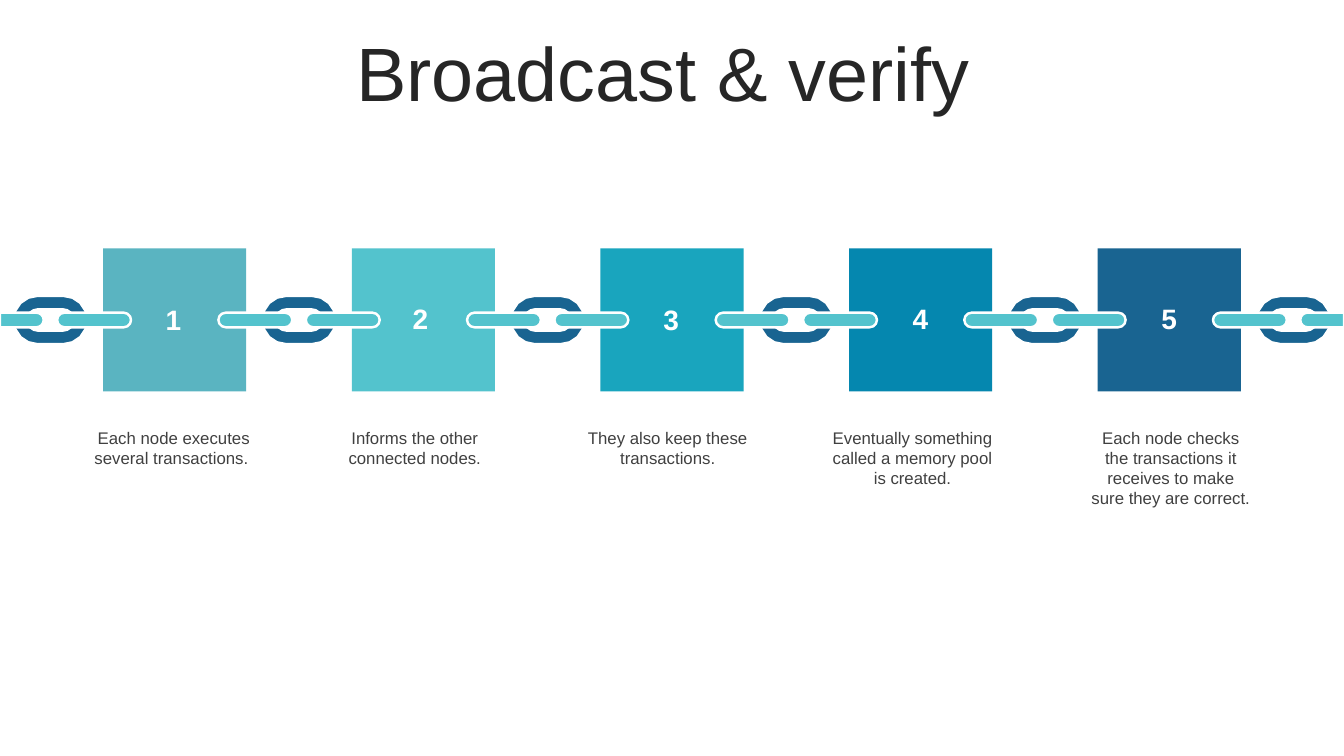
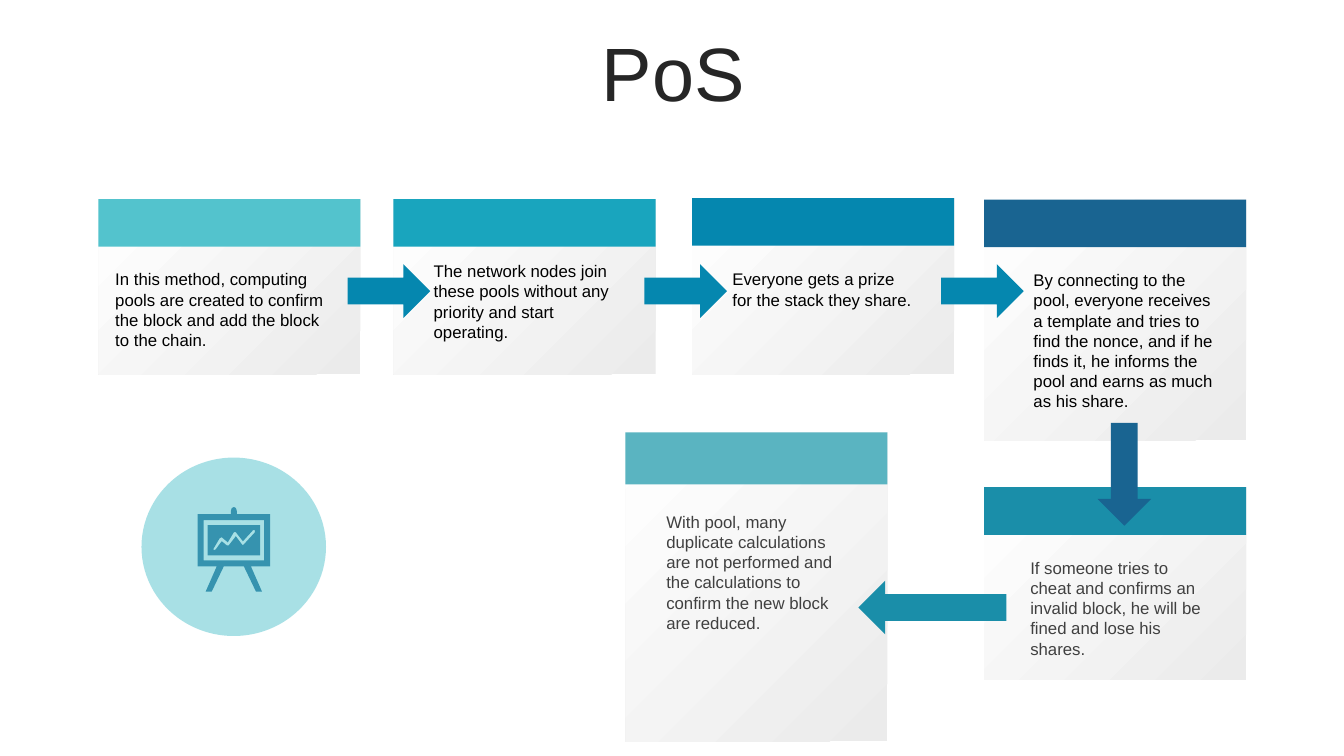
from dataclasses import dataclass
from math import cos, radians, sin

from lxml import etree
from pptx import Presentation
from pptx.dml.color import RGBColor
from pptx.enum.shapes import MSO_SHAPE
from pptx.enum.text import MSO_ANCHOR, MSO_AUTO_SIZE, PP_ALIGN
from pptx.oxml.ns import qn
from pptx.util import Inches, Pt

RECTANGLE = MSO_SHAPE.RECTANGLE
CAPSULE = MSO_SHAPE.ROUNDED_RECTANGLE
OVAL = MSO_SHAPE.OVAL
RIGHT_ARROW = MSO_SHAPE.RIGHT_ARROW
DOWN_ARROW = MSO_SHAPE.DOWN_ARROW
LEFT_ARROW = MSO_SHAPE.LEFT_ARROW
TOP, MIDDLE = MSO_ANCHOR.TOP, MSO_ANCHOR.MIDDLE
LEFT, CENTER = PP_ALIGN.LEFT, PP_ALIGN.CENTER
TITLE_ONLY = 5


@dataclass(frozen=True)
class Theme:
    font: str = "Arial"
    title_size: int = 54
    number_size: int = 20
    body_size: int = 12
    title: str = "262626"
    body: str = "404040"
    black: str = "000000"
    white: str = "FFFFFF"
    card_shade: str = "EBEBEB"
    navy: str = "196491"
    blue: str = "0587AF"
    ocean: str = "1A8EA9"
    cyan: str = "19A5BE"
    aqua: str = "53C3CD"
    mist: str = "5AB4C1"


theme = Theme()
presentation = Presentation()
presentation.slide_height = Inches(7.5)
presentation.slide_width = presentation.slide_height * 16 // 9
COLUMN = presentation.slide_width / 100
ROW = presentation.slide_height / 100


def add_figure(slide, outline, fill, frame=None, line=None):
    if frame:
        left, top, width, height = frame
        shape = slide.shapes.add_shape(
            outline, round(left * COLUMN), round(top * ROW),
            round(width * COLUMN), round(height * ROW))
    else:
        contours = [[(round(x * COLUMN), round(y * ROW)) for x, y in contour]
                    for contour in outline]
        builder = slide.shapes.build_freeform(*contours[0][0], scale=1.0)
        for index, contour in enumerate(contours):
            if index:
                builder.move_to(*contour[0])
            builder.add_line_segments(contour[1:], close=True)
        shape = builder.convert_to_shape()
    shape.shadow.inherit = False
    shape.fill.solid()
    shape.fill.fore_color.rgb = RGBColor.from_string(fill)
    if line:
        shape.line.color.rgb = RGBColor.from_string(line)
        shape.line.width = Pt(1.75)
    else:
        shape.line.fill.background()
    return shape


def write(shape, text, size, color, align=LEFT, anchor=TOP, bold=False):
    frame = shape.text_frame
    frame.word_wrap = True
    frame.auto_size = MSO_AUTO_SIZE.NONE
    frame.vertical_anchor = anchor
    frame.text = text
    paragraph = frame.paragraphs[0]
    paragraph.alignment = align
    paragraph.font.name = theme.font
    paragraph.font.size = Pt(size)
    paragraph.font.bold = bold
    paragraph.font.color.rgb = RGBColor.from_string(color)
    return paragraph


slides = []
for heading in ("Broadcast & verify ", "PoS"):
    slide = presentation.slides.add_slide(presentation.slide_layouts[TITLE_ONLY])
    title = slide.shapes.title
    title.left, title.top = round(2.63 * COLUMN), round(4.93 * ROW)
    title.width, title.height = round(94.95 * COLUMN), round(10.53 * ROW)
    paragraph = write(title, heading, theme.title_size, theme.title, CENTER, MIDDLE)
    paragraph.line_spacing = 0.9
    slides.append(slide)
chain_slide, pool_slide = slides

PITCH = 18.5
CHAIN_ROW = 42.33
BLOCK_WIDTH, BLOCK_HEIGHT = 10.65, 18.93
LINK_WIDTH, LINK_HEIGHT = 5.5, 6.4
HOLE_WIDTH, HOLE_HEIGHT = 3.45, 2.8
BAR_HEIGHT, BAR_SHIFT = 1.93, 3.25

steps = [
    (theme.mist, 8.55, 39.33, 6.24, "Each node executes several transactions. "),
    (theme.aqua, 26.93, 39.2, 24.17, "Informs the other connected nodes."),
    (theme.cyan, 45.6, 39.33, 42.99, "They also keep these transactions."),
    (theme.blue, 64.13, 39.2, 61.2,
     "Eventually something called a memory pool is created."),
    (theme.navy, 82.65, 39.2, 80.42,
     "Each node checks the transactions it receives to make sure they are correct."),
]
for index, step in enumerate(steps):
    add_figure(chain_slide, RECTANGLE, step[0],
               (13 + index * PITCH - BLOCK_WIDTH / 2, CHAIN_ROW - BLOCK_HEIGHT / 2,
                BLOCK_WIDTH, BLOCK_HEIGHT))

cap_points = [(side, radians(side * angle / 2))
              for side in (1, -1) for angle in range(-180, 181, 45)]
for index in range(len(steps) + 1):
    link_center = 3.75 + index * PITCH
    outlines = []
    for center, width, height in (
            (link_center, LINK_WIDTH, LINK_HEIGHT),
            (link_center, HOLE_WIDTH, HOLE_HEIGHT),
            (link_center + BAR_SHIFT, LINK_WIDTH, BAR_HEIGHT),
            (link_center - BAR_SHIFT, LINK_WIDTH, BAR_HEIGHT)):
        radius = height * ROW / COLUMN / 2
        outlines.append([
            (center + side * (width / 2 - radius + radius * cos(angle)),
             CHAIN_ROW + height / 2 * sin(angle)) for side, angle in cap_points])
    add_figure(chain_slide, outlines[:2], theme.navy, line=theme.white)
    for side, outline in zip((1, -1), outlines[2:]):
        left = link_center + side * BAR_SHIFT - LINK_WIDTH / 2
        if 0 <= left <= 100 - LINK_WIDTH:
            bar = add_figure(
                chain_slide, CAPSULE, theme.aqua,
                (left, CHAIN_ROW - BAR_HEIGHT / 2, LINK_WIDTH, BAR_HEIGHT),
                line=theme.white)
            bar.adjustments[0] = 0.5
        else:
            edge = 0 if left < 0 else 100
            visible = [(x, y) for x, y in outline if 0 <= x <= 100]
            corners = [(edge, visible[-1][1]), (edge, visible[0][1])]
            add_figure(chain_slide, [visible + corners], theme.aqua, line=theme.white)

for index, (_, number_left, number_top, caption_left, text) in enumerate(steps):
    number = chain_slide.shapes.add_textbox(
        round(number_left * COLUMN), round(number_top * ROW),
        round(8.7 * COLUMN), round(5.83 * ROW))
    write(number, str(index + 1), theme.number_size, theme.white, CENTER, bold=True)
    caption = chain_slide.shapes.add_textbox(
        round(caption_left * COLUMN), round(55.87 * ROW),
        round(13.4 * COLUMN), round(12.1 * ROW))
    write(caption, text, theme.body_size, theme.body, CENTER)

CARD_WIDTH = 19.5
cards = [
    (7.33, 26.33, 23.2, 6.3, theme.aqua, theme.black, 1.25, 9.27, 16.5,
     "In this method, computing pools are created to confirm the block and add "
     "the block to the chain."),
    (29.28, 26.33, 23.2, 6.3, theme.cyan, theme.black, 2.99, 8.2, 13.5,
     "The network nodes join these pools without any priority and start operating."),
    (51.5, 26.2, 23.3, 6.3, theme.blue, theme.black, 3, 9.4, 13.5,
     "Everyone gets a prize for the stack they share."),
    (73.22, 26.4, 31.85, 6.3, theme.navy, theme.black, 3.68, 9.3, 13.5,
     "By connecting to the pool, everyone receives a template and tries to find "
     "the nonce, and if he finds it, he informs the pool and earns as much as "
     "his share."),
    (73.22, 64.45, 25.5, 6.3, theme.ocean, theme.body, 3.44, 9.32, 13.5,
     "If someone tries to cheat and confirms an invalid block, he will be fined "
     "and lose his shares."),
    (46.53, 57.2, 40.85, 6.87, theme.mist, theme.body, 3.05, 10.47, 13.5,
     "With pool, many duplicate calculations are not performed and the "
     "calculations to confirm the new block are reduced."),
]
for (left, top, height, band_height, band_color, text_color,
     indent, text_drop, text_width, text) in cards:
    card = add_figure(pool_slide, RECTANGLE, theme.white,
                      (left, top, CARD_WIDTH, height))
    card.fill.gradient()
    card.fill.gradient_angle = 135
    for stop, color in zip(card.fill.gradient_stops, (theme.card_shade, theme.white)):
        stop.color.rgb = RGBColor.from_string(color)
    write(card, text, theme.body_size, text_color)
    card.text_frame.margin_left = round(indent * COLUMN)
    card.text_frame.margin_right = round((CARD_WIDTH - indent - text_width) * COLUMN)
    card.text_frame.margin_top = round(text_drop * ROW)
    add_figure(pool_slide, RECTANGLE, band_color,
               (left, top, CARD_WIDTH, band_height))

for index in range(3):
    add_figure(pool_slide, RIGHT_ARROW, theme.blue,
               (25.86 + 22.08 * index, 34.95, 6.15, 7.1))
add_figure(pool_slide, DOWN_ARROW, theme.navy, (81.67, 55.93, 3.98, 13.6))
add_figure(pool_slide, LEFT_ARROW, theme.ocean, (63.87, 76.8, 11.01, 7.1))

easel = [
    [(0, 7), (33, 7), (33, 4), (34, 1), (36, 0), (38, 1), (39, 4), (39, 7),
     (72, 7), (72, 59), (53, 59), (64, 84), (58, 84), (46, 59), (26, 59),
     (14, 84), (8, 84), (19, 59), (0, 59)],
    [(6, 13), (66, 13), (66, 53), (6, 53)],
    [(10, 18), (62, 18), (62, 48), (10, 48)],
    [(16, 41), (22, 31), (24, 30), (30, 35), (36, 25), (38, 25), (45, 34),
     (55, 23), (57, 23), (57, 25), (46, 37), (45, 38), (44, 37), (38, 29),
     (31, 38), (29, 38), (24, 34), (18, 42), (16, 43)],
]
add_figure(pool_slide, [[(14.7 + x / 13.33, 67.07 + y / 7.5) for x, y in contour]
                        for contour in easel], theme.navy)
disc = add_figure(pool_slide, OVAL, theme.aqua, (10.53, 60.53, 13.73, 23.6))
disc_color = disc._element.spPr.find(f"{qn('a:solidFill')}/{qn('a:srgbClr')}")
etree.SubElement(disc_color, qn("a:alpha"), val="50000")

presentation.save("out.pptx")
